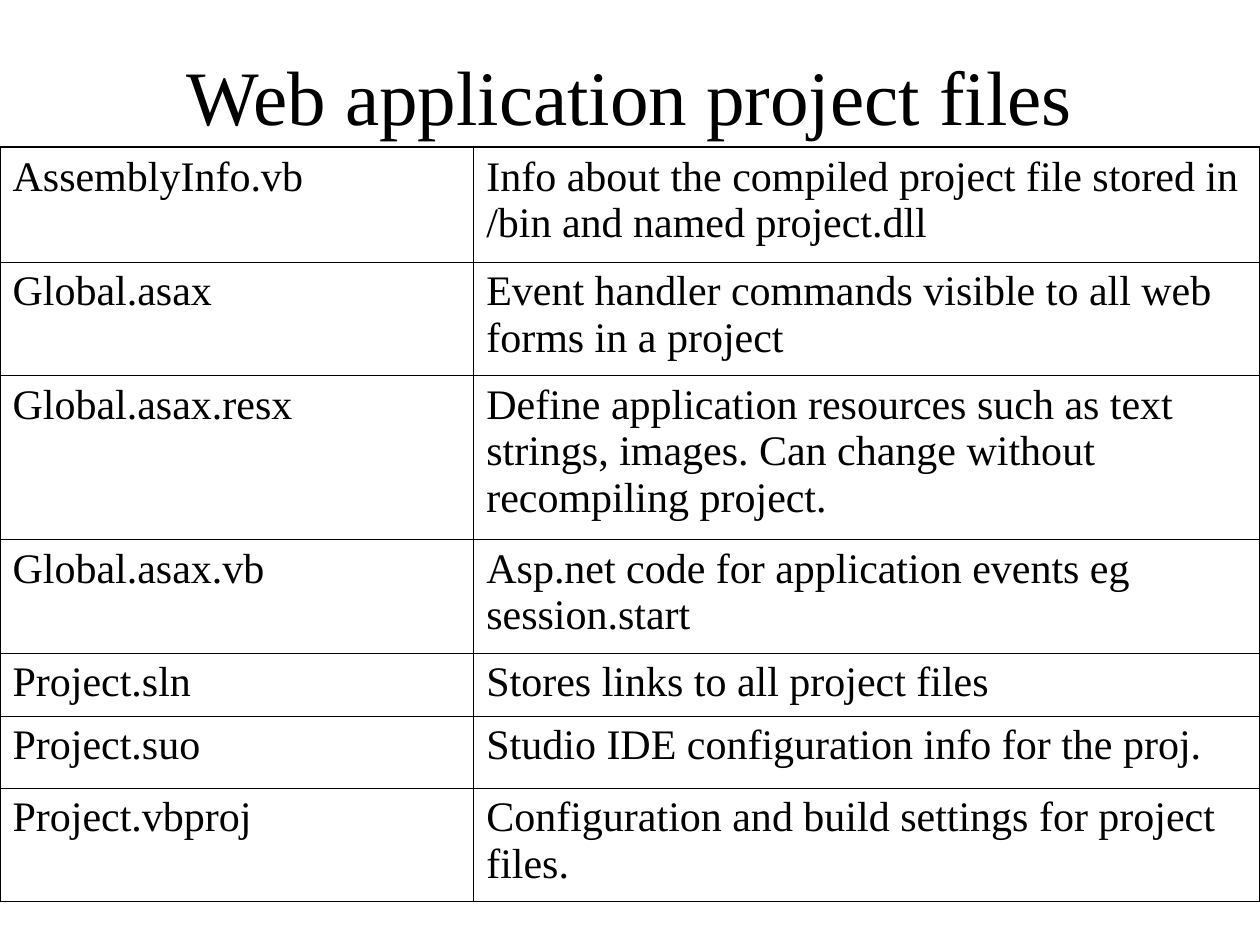
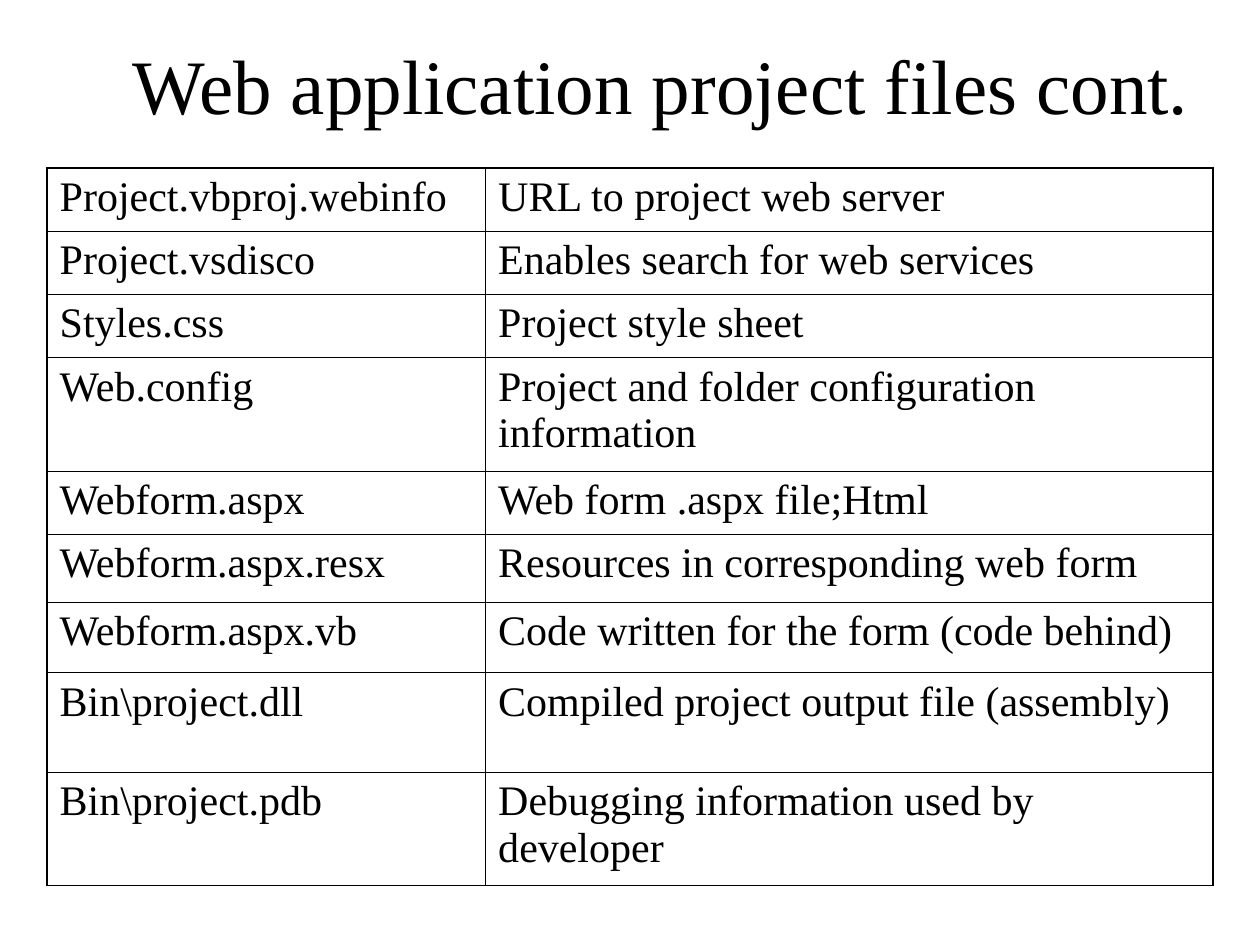
"""Build two slides that list the files of a web application project."""
import pptx
import pptx.dml.color
import pptx.enum.text
import pptx.util
from lxml import etree

Cm = pptx.util.Cm
Pt = pptx.util.Pt

PAGES = [
    {
        "title": "Web application project files",
        "head": (1.9, 0.64, 21.6, 2.54),
        "spot": (0, 2.97),
        "cols": (9.55, 15.85),
        "rows": [
            (2.31, "AssemblyInfo.vb",
             "Info about the compiled project file stored in /bin and named project.dll"),
            (2.29, "Global.asax",
             "Event handler commands visible to all web forms in a project"),
            (3.3, "Global.asax.resx",
             "Define application resources such as text strings, images. "
             "Can change without recompiling project."),
            (2.29, "Global.asax.vb",
             "Asp.net code for application events eg session.start"),
            (1.27, "Project.sln", "Stores links to all project files"),
            (1.45, "Project.suo", "Studio IDE configuration info for the proj."),
            (2.29, "Project.vbproj",
             "Configuration and build settings for project files."),
        ],
    },
    {
        "title": "Web application project files cont.",
        "head": (1.9, 0.64, 22.86, 2.11),
        "spot": (0.95, 3.39),
        "cols": (8.84, 14.66),
        "rows": [
            (1.27, "Project.vbproj.webinfo", "URL to project web server"),
            (1.27, "Project.vsdisco", "Enables search for web services"),
            (1.27, "Styles.css", "Project style sheet"),
            (2.29, "Web.config", "Project and folder configuration information"),
            (1.27, "Webform.aspx", "Web form .aspx file;Html"),
            (1.37, "Webform.aspx.resx", "Resources in corresponding web form"),
            (1.42, "Webform.aspx.vb", "Code written for the form (code behind)"),
            (2.01, "Bin\\project.dll", "Compiled project output file (assembly)"),
            (2.29, "Bin\\project.pdb", "Debugging information used by developer"),
        ],
    },
]

THEME = {
    "ink": "000000",
    "face": "Times New Roman",
    "title": 44,
    "body": 24,
    "edge": 1.08,
    "rule": 0.45,
}
FRAME = {"word_wrap": True, "vertical_anchor": pptx.enum.text.MSO_ANCHOR.MIDDLE}
CENTER = {"alignment": pptx.enum.text.PP_ALIGN.CENTER}
ENTRY = {"space_before": Pt(6)}
PLAIN = {"first_row": False, "horz_banding": False}


def apply(item, form):
    for name, value in form.items():
        setattr(item, name, value)


def write(frame, text, size, form):
    para = frame.paragraphs[0]
    apply(para, form)
    run = para.add_run()
    run.text = text
    apply(run.font, {"name": THEME["face"], "size": Pt(THEME[size])})
    run.font.color.rgb = pptx.dml.color.RGBColor.from_string(THEME["ink"])


def border(cell, outer):
    props = cell._tc.get_or_add_tcPr()
    for spot, (side, edge) in enumerate(outer.items()):
        line = pptx.oxml.ns.qn(f"a:ln{side}")
        width = Pt(THEME["edge" if edge else "rule"])
        node = etree.Element(line, w=str(int(width)))
        fill = etree.SubElement(node, pptx.oxml.ns.qn("a:solidFill"))
        etree.SubElement(fill, pptx.oxml.ns.qn("a:srgbClr"), val=THEME["ink"])
        props.insert(spot, node)


def add_head(slide, page):
    box = slide.shapes.add_textbox(*map(Cm, page["head"]))
    apply(box.text_frame, FRAME)
    write(box.text_frame, page["title"], "title", CENTER)


def add_grid(slide, page):
    cols, rows = page["cols"], page["rows"]
    high = sum(row[0] for row in rows)
    size = (*page["spot"], sum(cols), high)
    grid = slide.shapes.add_table(len(rows), len(cols), *map(Cm, size)).table
    apply(grid, PLAIN)
    for col, width in zip(grid.columns, cols):
        col.width = Cm(width)
    for r, (height, *texts) in enumerate(rows):
        grid.rows[r].height = Cm(height)
        for c, text in enumerate(texts):
            cell = grid.cell(r, c)
            cell.fill.background()
            write(cell.text_frame, text, "body", ENTRY)
            border(cell, {
                "L": c == 0,
                "R": c == len(cols) - 1,
                "T": r == 0,
                "B": r == len(rows) - 1,
            })


def main():
    deck = pptx.Presentation()
    apply(deck, {"slide_width": Cm(25.4), "slide_height": Cm(19.05)})
    for page in PAGES:
        slide = deck.slides.add_slide(deck.slide_layouts[6])
        add_head(slide, page)
        add_grid(slide, page)
    deck.save("out.pptx")


if __name__ == "__main__":
    main()
